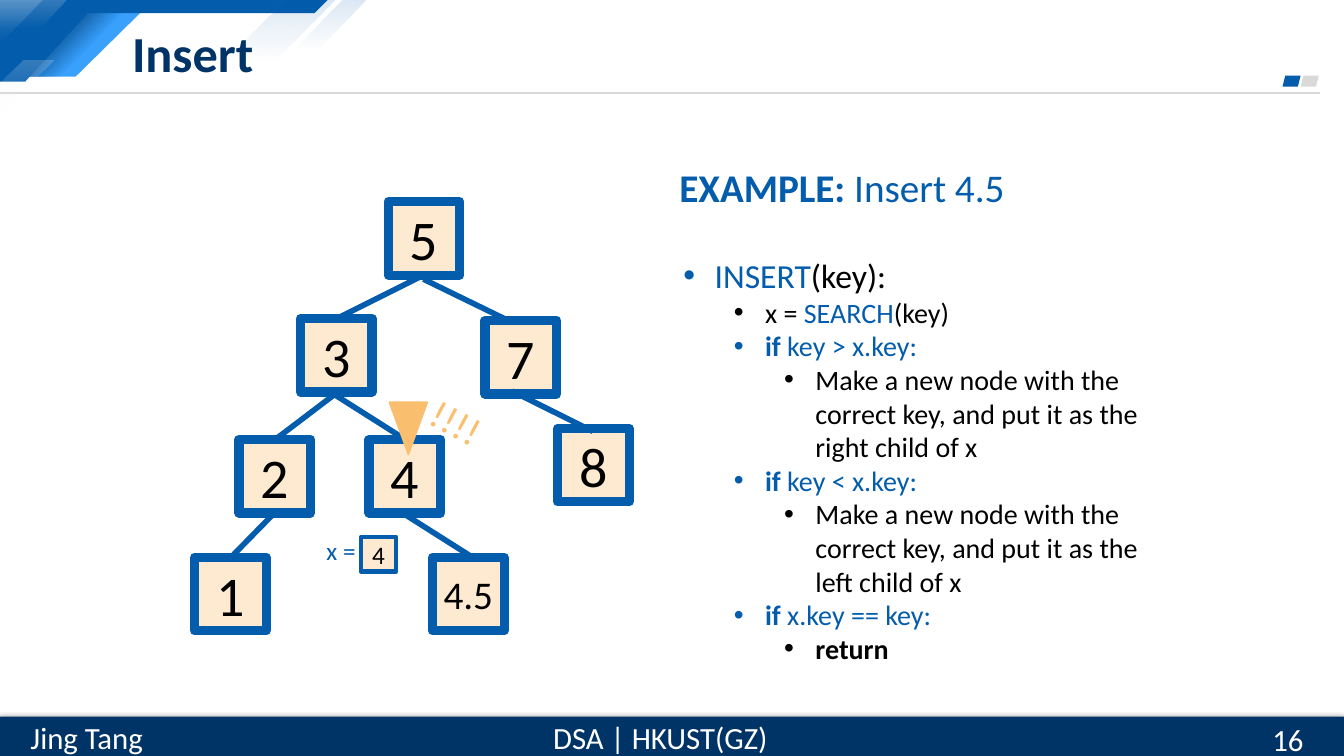
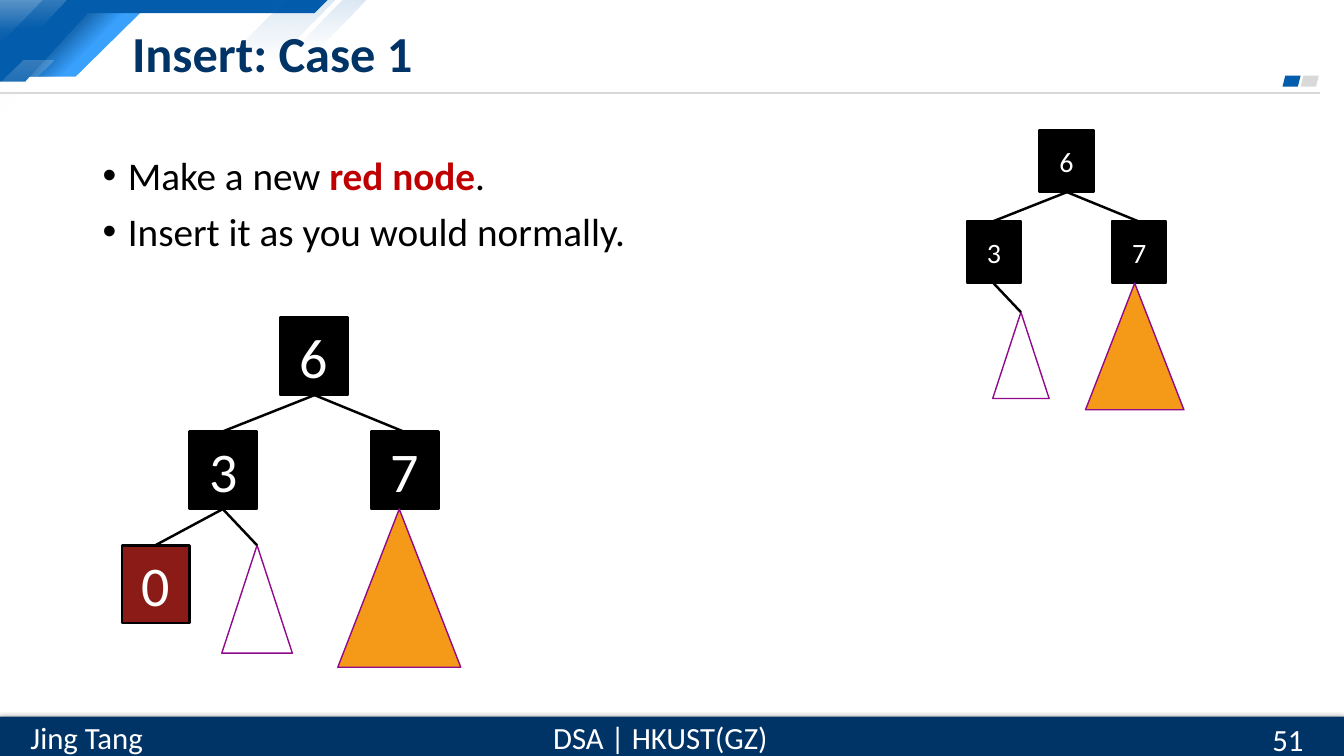
from lxml import etree
from pptx import Presentation
from pptx.dml.color import RGBColor
from pptx.enum import shapes as kinds, text as styles
from pptx.oxml import ns
from pptx.util import Inches, Pt

NAVY = RGBColor(0x00, 0x33, 0x66)
DEEP_BLUE = RGBColor(0x02, 0x45, 0x81)
BLUE = RGBColor(0x03, 0x5C, 0xAC)
SKY = RGBColor(0x39, 0xA0, 0xFC)
GREY = RGBColor(0xD9, 0xD9, 0xD9)
CREAM = RGBColor(0xFD, 0xEA, 0xD1)
PEACH = RGBColor(0xF9, 0xBF, 0x6F)
ORANGE = RGBColor(0xF5, 0x99, 0x19)
PURPLE = RGBColor(0x90, 0x0B, 0x8B)
RED = RGBColor(0xC0, 0x00, 0x00)
DARK_RED = RGBColor(0x8B, 0x1B, 0x17)
BLACK = RGBColor(0, 0, 0)
WHITE = RGBColor(0xFF, 0xFF, 0xFF)

FONT = "Calibri"
RECTANGLE = kinds.MSO_SHAPE.RECTANGLE
TRIANGLE = kinds.MSO_SHAPE.ISOSCELES_TRIANGLE
PARALLELOGRAM = kinds.MSO_SHAPE.PARALLELOGRAM
STRAIGHT = kinds.MSO_CONNECTOR.STRAIGHT
LEFT = styles.PP_ALIGN.LEFT
CENTER = styles.PP_ALIGN.CENTER
TOP = styles.MSO_ANCHOR.TOP
MIDDLE = styles.MSO_ANCHOR.MIDDLE


def write(frame, *runs, size, color=BLACK, bold=False, align=LEFT, anchor=TOP,
          wrap=True, indent=None, hang=0.31, line_spacing=None, before=0):
    """Add a paragraph; a run is a text or (text, color, bold). An indent gives it a bullet."""
    frame.word_wrap = wrap
    frame.vertical_anchor = anchor
    paragraph = frame.add_paragraph() if frame.text else frame.paragraphs[0]
    paragraph.alignment = align
    paragraph.line_spacing = line_spacing
    paragraph.space_before = Pt(before)
    if indent is not None:
        properties = paragraph._p.get_or_add_pPr()
        properties.set("marL", str(Inches(indent)))
        properties.set("indent", str(-Inches(hang)))
        etree.SubElement(properties, ns.qn("a:buFont")).set("typeface", "Arial")
        etree.SubElement(properties, ns.qn("a:buChar")).set("char", "•")
    for run_format in runs:
        if isinstance(run_format, str):
            run_format = (run_format, color, bold)
        run = paragraph.add_run()
        run.text, run.font.color.rgb, run.font.bold = run_format
        run.font.name = FONT
        run.font.size = Pt(size)


def paint(shape, fill=None, line=None, weight=1, angle=90):
    """Set fill and line, without shadow; a list of (position, color, alpha) is a gradient."""
    properties = shape._element.spPr
    if isinstance(fill, list):
        shape.fill.gradient()
        gradient = properties.find(ns.qn("a:gradFill"))
        gradient.find(ns.qn("a:lin")).set("ang", str(angle * 60000))
        stops = gradient.find(ns.qn("a:gsLst"))
        for stop in list(stops):
            stops.remove(stop)
        for position, color, alpha in fill:
            stop = etree.SubElement(stops, ns.qn("a:gs"), pos=str(position * 1000))
            tint = etree.SubElement(stop, ns.qn("a:srgbClr"), val=str(color))
            etree.SubElement(tint, ns.qn("a:alpha"), val=str(alpha * 1000))
    elif fill is not None:
        shape.fill.solid()
        shape.fill.fore_color.rgb = fill
    if line is None:
        shape.line.fill.background()
    else:
        shape.line.color.rgb = line
        shape.line.width = Pt(weight)
    return etree.SubElement(properties, ns.qn("a:effectLst"))


presentation = Presentation()
presentation.slide_width = Inches(13.33)
presentation.slide_height = Inches(7.5)
layout = presentation.slide_layouts.get_by_name("Title Only")
layout_title = layout.placeholders[0]
layout_title.left, layout_title.top = Inches(1.21), Inches(0.17)
layout_title.width, layout_title.height = Inches(10.21), Inches(0.69)

slides = []
for title, number in [("Insert", "16"), ("Insert: Case 1", "51")]:
    slide = presentation.slides.add_slide(layout)
    write(slide.shapes.title.text_frame, title, size=36, color=NAVY, bold=True, anchor=MIDDLE)
    number_box = slide.shapes.add_textbox(Inches(12.52), Inches(7.13), Inches(0.81), Inches(0.4))
    write(number_box.text_frame, number, size=22, color=WHITE, anchor=MIDDLE)
    slides.append(slide)
insert_slide, case_slide = slides

# Shared header and footer: drawn on a slide, then moved to the layout
shapes = insert_slide.shapes
own_count = len(shapes)
white_fade = [(0, WHITE, 20), (100, WHITE, 0)]
blue_fade = [(0, BLUE, 15), (100, BLUE, 0)]
blue_band = [(0.84, 0.07), (1.45, 0.07), (0.75, 0.76), (0.16, 0.76)]
header_pieces = [
    (blue_band, SKY, 90),
    (blue_band, [(29, DEEP_BLUE, 100), (57, DEEP_BLUE, 0)], 45),
    ([(0, 0), (3.25, 0), (3.12, 0.13), (0.87, 0.13), (0.25, 0.81), (0, 0.81)], BLUE, 90),
    ([(0, 0), (0.42, 0), (0, 0.42)], white_fade, 90),
    ([(0, 0), (0.66, 0), (0.39, 0.28), (0, 0.28)], white_fade, 90),
    ([(2.84, 0), (3.33, 0), (2.72, 0.61), (2.22, 0.61)], blue_fade, 90),
    ([(3.4, 0), (3.64, 0), (3.15, 0.49), (2.91, 0.49)], blue_fade, 90),
    ([(0.23, 0.6), (0.53, 0.6), (0, 1.13), (0, 0.83)], white_fade, 90),
]
for points, fill, angle in header_pieces:
    corners = [(Inches(x), Inches(y)) for x, y in points]
    builder = shapes.build_freeform(*corners[0], scale=1.0)
    builder.add_line_segments(corners[1:], close=True)
    paint(builder.convert_to_shape(), fill, angle=angle)

rule = shapes.add_connector(STRAIGHT, 0, Inches(0.92), Inches(13.09), Inches(0.92))
paint(rule, line=GREY, weight=1.5)
for left, color in [(12.9, GREY), (12.72, BLUE)]:
    mark = shapes.add_shape(PARALLELOGRAM, Inches(left), Inches(0.75), Inches(0.18), Inches(0.11))
    paint(mark, color)

footer = shapes.add_shape(RECTANGLE, 0, Inches(7.11), Inches(13.33), Inches(0.39))
effects = paint(footer, NAVY)
shadow = etree.SubElement(effects, ns.qn("a:outerShdw"), blurRad=str(Pt(4.5)),
                          dist=str(Pt(1.5)), dir="5400000", rotWithShape="0")
shadow_color = etree.SubElement(shadow, ns.qn("a:srgbClr"), val=str(BLACK))
etree.SubElement(shadow_color, ns.qn("a:alpha"), val="63000")
for label, left, width in [("DSA | HKUST(GZ)", 5.36, 2.38), ("Jing Tang", 0.16, 1.4)]:
    footer_box = shapes.add_textbox(Inches(left), Inches(7.08), Inches(width), Inches(0.47))
    write(footer_box.text_frame, label, size=22, color=WHITE, align=CENTER, anchor=MIDDLE)

for shape_id, shape in enumerate(list(shapes)[own_count:], start=100):
    shape._element.xpath(".//p:cNvPr")[0].set("id", str(shape_id))
    layout.shapes._spTree.append(shape._element)

# Slide "Insert": search tree
tree_nodes = [
    ("4", 3.66, 4.36), ("2", 2.37, 4.36), ("8", 5.53, 4.25), ("7", 4.81, 3.18),
    ("1", 1.93, 5.53), ("3", 2.98, 3.16), ("5", 3.85, 2), ("4.5", 4.29, 5.53),
]
for key, left, top in tree_nodes:
    node = shapes.add_shape(RECTANGLE, Inches(left), Inches(top), Inches(0.71), Inches(0.73))
    paint(node, CREAM, BLUE, 6.5)
    write(node.text_frame, key, size=40 if len(key) == 1 else 28,
          align=CENTER, anchor=MIDDLE, wrap=False)
tree_edges = [
    (4.2, 2.77, 5, 3.16), (5.08, 3.88, 5.88, 4.28), (3.31, 3.91, 4.02, 4.36),
    (4.2, 2.73, 3.34, 3.16), (3.31, 3.92, 2.73, 4.36), (2.73, 5.08, 2.29, 5.53),
    (4.01, 5.1, 4.72, 5.55),
]
for edge in tree_edges:
    paint(shapes.add_connector(STRAIGHT, *map(Inches, edge)), line=BLUE, weight=4)

pointer = shapes.add_shape(TRIANGLE, Inches(3.86), Inches(3.99), Inches(0.38), Inches(0.52))
pointer.rotation = 180
paint(pointer, PEACH, PEACH)
exclamation = shapes.add_textbox(Inches(4.16), Inches(3.96), Inches(0.97), Inches(0.57))
exclamation.rotation = 27.8
write(exclamation.text_frame, "!!!!", size=28, color=PEACH)

x_label = shapes.add_textbox(Inches(3.14), Inches(5.26), Inches(0.7), Inches(0.4))
write(x_label.text_frame, "x =", size=18, color=BLUE)
x_node = shapes.add_shape(RECTANGLE, Inches(3.58), Inches(5.33), Inches(0.35), Inches(0.34))
paint(x_node, CREAM, BLUE, 3.25)
write(x_node.text_frame, "4", size=18, align=CENTER, anchor=MIDDLE, wrap=False)

# Slide "Insert": pseudocode
example = shapes.add_textbox(Inches(6.64), Inches(1.57), Inches(4.36), Inches(0.57))
write(example.text_frame, ("EXAMPLE: ", BLUE, True), "Insert 4.5", size=28, color=BLUE)

bold_if = ("if ", BLUE, True)
pseudocode = [
    (0, ("INSERT", BLUE, False), "(key):"),
    (1, "x = ", ("SEARCH", BLUE, False), "(key)"),
    (1, bold_if, ("key > x.key:", BLUE, False)),
    (2, "Make a new node with the correct key, and put it as the right child of x"),
    (1, bold_if, ("key < x.key:", BLUE, False)),
    (2, "Make a new node with the correct key, and put it as the left child of x"),
    (1, bold_if, ("x.key == key:", BLUE, False)),
    (2, ("return", BLACK, True)),
]
code_box = shapes.add_textbox(Inches(6.68), Inches(2.48), Inches(4.73), Inches(4.85))
for level, *runs in pseudocode:
    write(code_box.text_frame, *runs, size=20 if level else 24, indent=0.31 + 0.5 * level)

# Slide "Insert: Case 1": steps
shapes = case_slide.shapes
steps = shapes.add_textbox(Inches(0.92), Inches(1.5), Inches(11.5), Inches(5.12))
step_format = dict(size=28, indent=0.25, hang=0.25, line_spacing=0.9)
write(steps.text_frame, "Make a new ", ("red node", RED, True), ".", **step_format)
write(steps.text_frame, "Insert it as you would normally.", before=10, **step_format)

# Slide "Insert: Case 1": trees, with offsets from the root's top left corner
black_nodes = [("7", 0.9, 1.13, BLACK), ("3", -0.9, 1.13, BLACK), ("6", 0, 0, BLACK)]
red_node = ("0", -1.57, 2.26, DARK_RED)
black_edges = [(0.34, 0.77, -0.57, 1.13), (0.34, 0.77, 1.22, 1.13), (-0.57, 1.9, -0.23, 2.26)]
red_edge = (-0.57, 1.9, -1.24, 2.26)
subtrees = [(0.57, 1.9, 1.22, 1.57, ORANGE), (-0.58, 2.26, 0.7, 1.07, WHITE)]
trees = [
    (2.78, 3.15, 1, 40, black_nodes + [red_node], black_edges + [red_edge]),
    (10.31, 1.29, 0.8, 20, black_nodes, black_edges),
]
for root_left, root_top, scale, size, nodes, edges in trees:
    for key, x, y, color in nodes:
        node = shapes.add_shape(RECTANGLE, Inches(root_left + x * scale),
                                Inches(root_top + y * scale),
                                Inches(0.67 * scale), Inches(0.77 * scale))
        paint(node, color, BLACK, 1.75)
        write(node.text_frame, key, size=size, color=WHITE,
              align=CENTER, anchor=MIDDLE, wrap=False)
    for x, y, width, height, color in subtrees:
        subtree = shapes.add_shape(TRIANGLE, Inches(root_left + x * scale),
                                   Inches(root_top + y * scale),
                                   Inches(width * scale), Inches(height * scale))
        paint(subtree, color, PURPLE)
    for x1, y1, x2, y2 in edges:
        edge = shapes.add_connector(
            STRAIGHT, Inches(root_left + x1 * scale), Inches(root_top + y1 * scale),
            Inches(root_left + x2 * scale), Inches(root_top + y2 * scale))
        paint(edge, line=BLACK, weight=1.75)

presentation.save("out.pptx")
